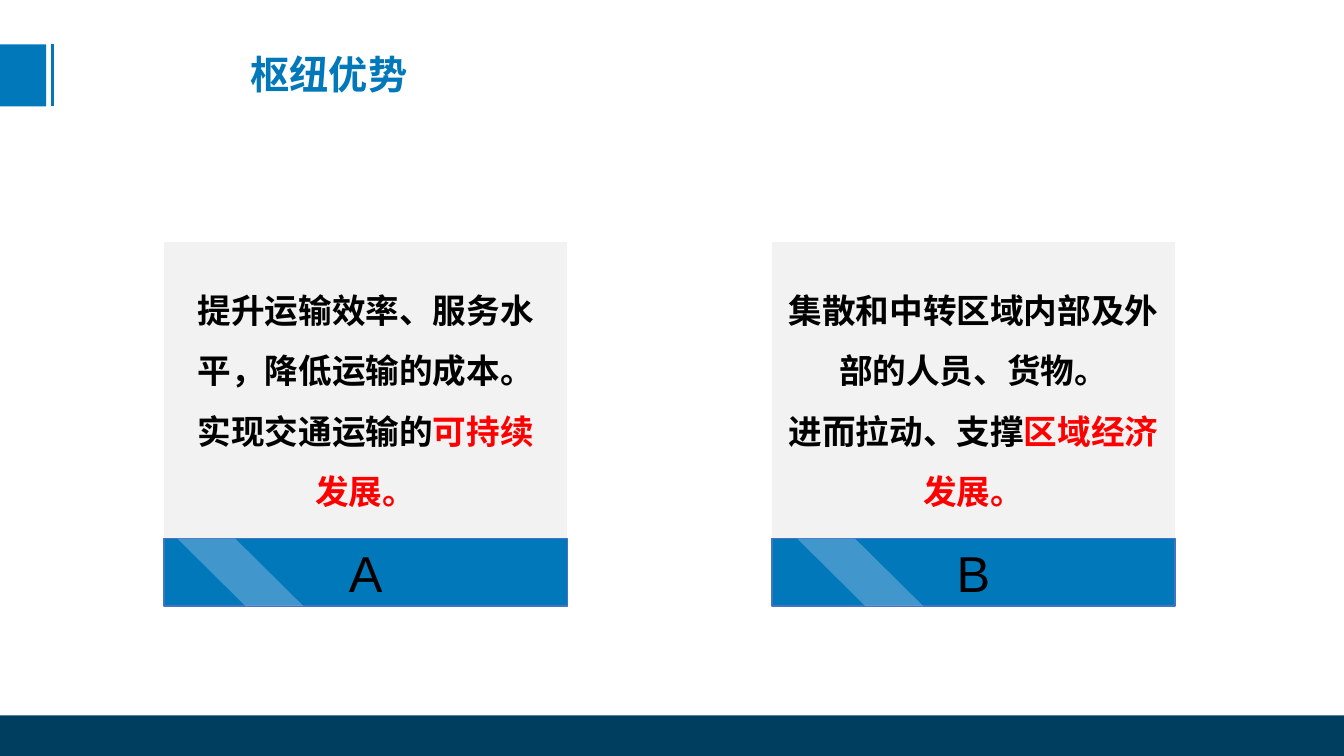
from lxml import etree
from pptx import Presentation
from pptx.dml.color import RGBColor
from pptx.enum.shapes import MSO_CONNECTOR, MSO_SHAPE
from pptx.enum.text import MSO_ANCHOR, PP_ALIGN
from pptx.oxml.ns import qn
from pptx.util import Pt

RECTANGLE = MSO_SHAPE.RECTANGLE
PARALLELOGRAM = MSO_SHAPE.PARALLELOGRAM
STRAIGHT = MSO_CONNECTOR.STRAIGHT
MIDDLE = MSO_ANCHOR.MIDDLE
CENTER = PP_ALIGN.CENTER
LEFT = PP_ALIGN.LEFT

WIDTH, HEIGHT = 960, 540
CHINESE_FONT = "Noto Sans CJK SC"
BLUE, NAVY, GREY, BLACK, RED = "0078BA", "003E60", "F2F2F2", "000000", "FF0000"
STRIPE_BLUE, BORDER_BLUE = "9DC3E6", "4472C4"

CARD_TOP, CARD_WIDTH, CARD_HEIGHT = 173, 288, 260
LABEL_HEIGHT = 48.2
CARDS = [
    (117.2, "A", 9.6, [
        [("提升运输效率、服务水", BLACK)],
        [("平，降低运输的成本。", BLACK)],
        [("实现交通运输的", BLACK), ("可持续", RED)],
        [("发展。", RED)],
    ]),
    (551.4, "B", 18.1, [
        [("集散和中转区域内部及外部的人员、货物。", BLACK)],
        [("进而拉动、支撑", BLACK), ("区域经济发展。", RED)],
    ]),
]


def color(hex_string):
    """Turn a hex string into a colour."""
    return RGBColor.from_string(hex_string)


def add_block(slide, kind, left, top, width, height, fill):
    """Add a flat filled shape without an outline."""
    shape = slide.shapes.add_shape(kind, Pt(left), Pt(top), Pt(width), Pt(height))
    shape.shadow.inherit = False
    shape.fill.solid()
    shape.fill.fore_color.rgb = color(fill)
    shape.line.fill.background()
    return shape


def write_text(frame, lines, size, font, bold, align, spacing=1):
    """Write lines made of (text, colour) pieces into a text frame."""
    for index, pieces in enumerate(lines):
        paragraph = frame.add_paragraph() if index else frame.paragraphs[0]
        paragraph.alignment = align
        paragraph.line_spacing = spacing
        paragraph.font.size = Pt(size)
        paragraph.font.bold = bold
        paragraph.font.name = font
        properties = paragraph._p.pPr.find(qn("a:defRPr"))
        etree.SubElement(properties, qn("a:ea")).set("typeface", font)
        for text, hex_string in pieces:
            run = paragraph.add_run()
            run.text = text
            run.font.color.rgb = color(hex_string)


def add_header(slide, left, top, height):
    """Add the blue marker, its thin rule and the slide title."""
    add_block(slide, RECTANGLE, left, top, 33, height, BLUE)
    rule_left = left + 37.4
    rule = slide.shapes.add_connector(
        STRAIGHT, Pt(rule_left), Pt(top), Pt(rule_left), Pt(top + height))
    rule.line.color.rgb = color(BLUE)
    rule.line.width = Pt(2.25)
    etree.SubElement(rule._element.spPr, qn("a:effectLst"))
    title = slide.shapes.add_textbox(Pt(left + 172), Pt(top + 0.7), Pt(132), Pt(41))
    title.text_frame.word_wrap = True
    write_text(title.text_frame, [[("枢纽优势", BLUE)]], 28, CHINESE_FONT, True, LEFT)


def add_card(slide, left, top, width, height, letter, stripe_offset, lines):
    """Add a grey text panel above a lettered blue label with a slanted stripe."""
    label_top = top + height - LABEL_HEIGHT
    panel = add_block(slide, RECTANGLE, left, top, width, height - LABEL_HEIGHT, GREY)
    panel.text_frame.vertical_anchor = MIDDLE
    write_text(panel.text_frame, lines, 24, CHINESE_FONT, True, CENTER, 1.5)

    label = add_block(slide, RECTANGLE, left, label_top, width, LABEL_HEIGHT, BLUE)
    label.line.color.rgb = color(BORDER_BLUE)
    label.line.width = Pt(1)
    label.text_frame.vertical_anchor = MIDDLE
    write_text(label.text_frame, [[(letter, BLACK)]], 36, "Arial", False, CENTER)

    stripe = add_block(slide, PARALLELOGRAM, left + stripe_offset, label_top,
                       90, LABEL_HEIGHT, STRIPE_BLUE)
    stripe.adjustments[0] = 1.01
    stripe._element.spPr.xfrm.set("flipH", "1")
    fill_color = stripe._element.spPr.find(qn("a:solidFill"))[0]
    etree.SubElement(fill_color, qn("a:alpha")).set("val", "42000")


def main():
    """Build the slide and save it."""
    presentation = Presentation()
    presentation.slide_width = Pt(WIDTH)
    presentation.slide_height = Pt(HEIGHT)
    slide = presentation.slides.add_slide(presentation.slide_layouts[6])
    add_block(slide, RECTANGLE, 0, 511, WIDTH, 29, NAVY)
    add_header(slide, 0, 31.7, 44.3)
    for left, letter, stripe_offset, lines in CARDS:
        add_card(slide, left, CARD_TOP, CARD_WIDTH, CARD_HEIGHT,
                 letter, stripe_offset, lines)
    presentation.save("out.pptx")


if __name__ == "__main__":
    main()
